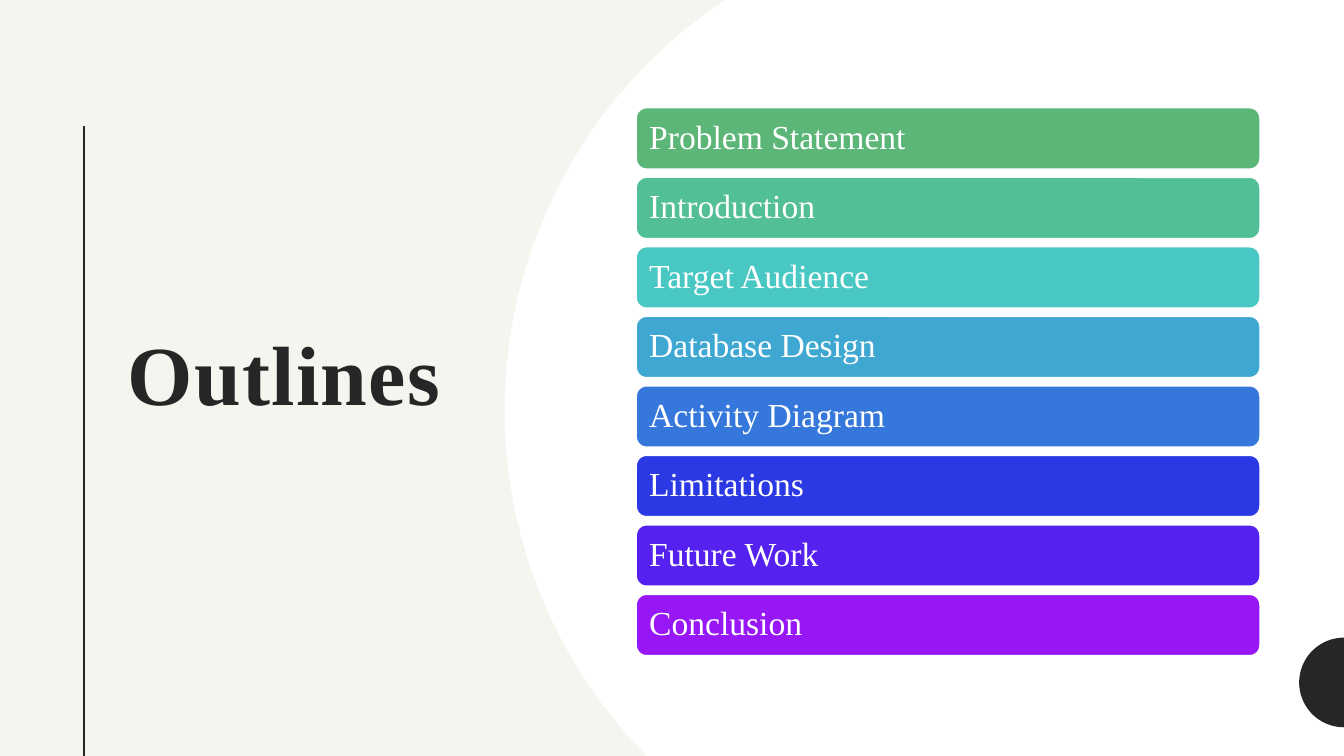
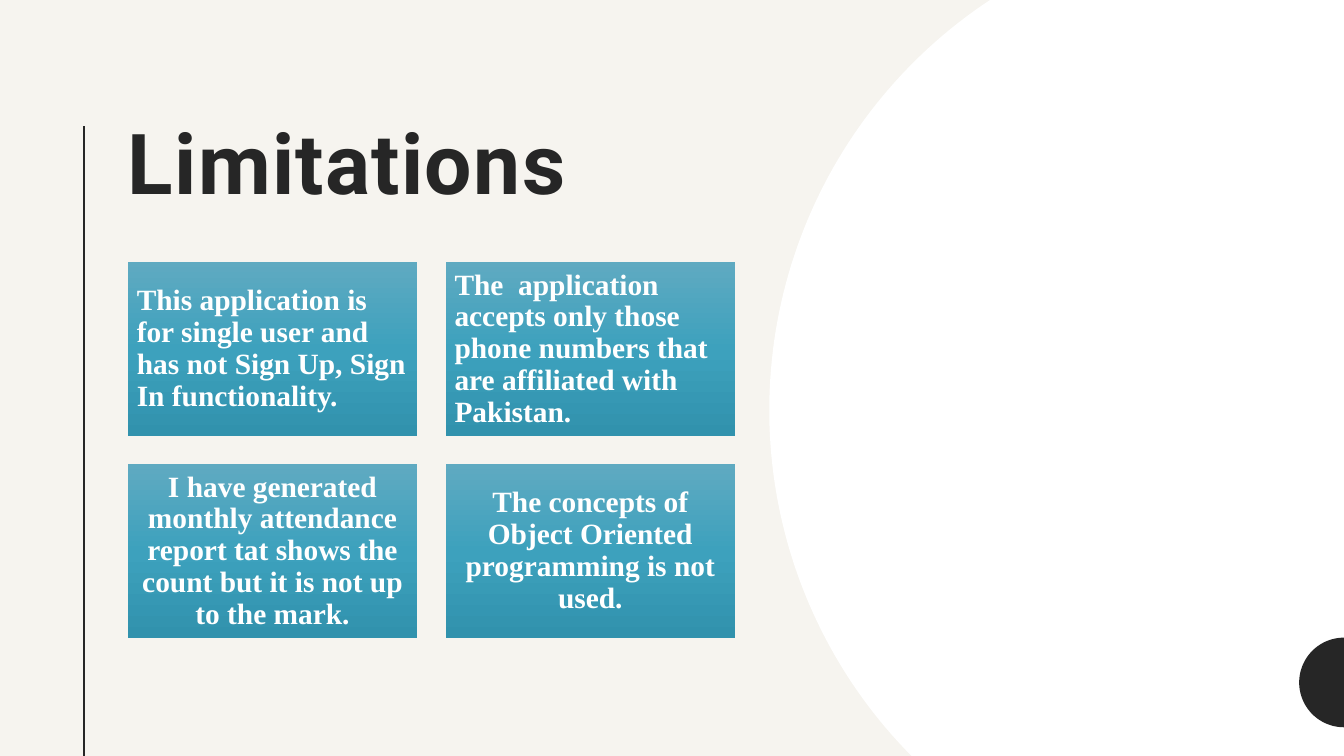
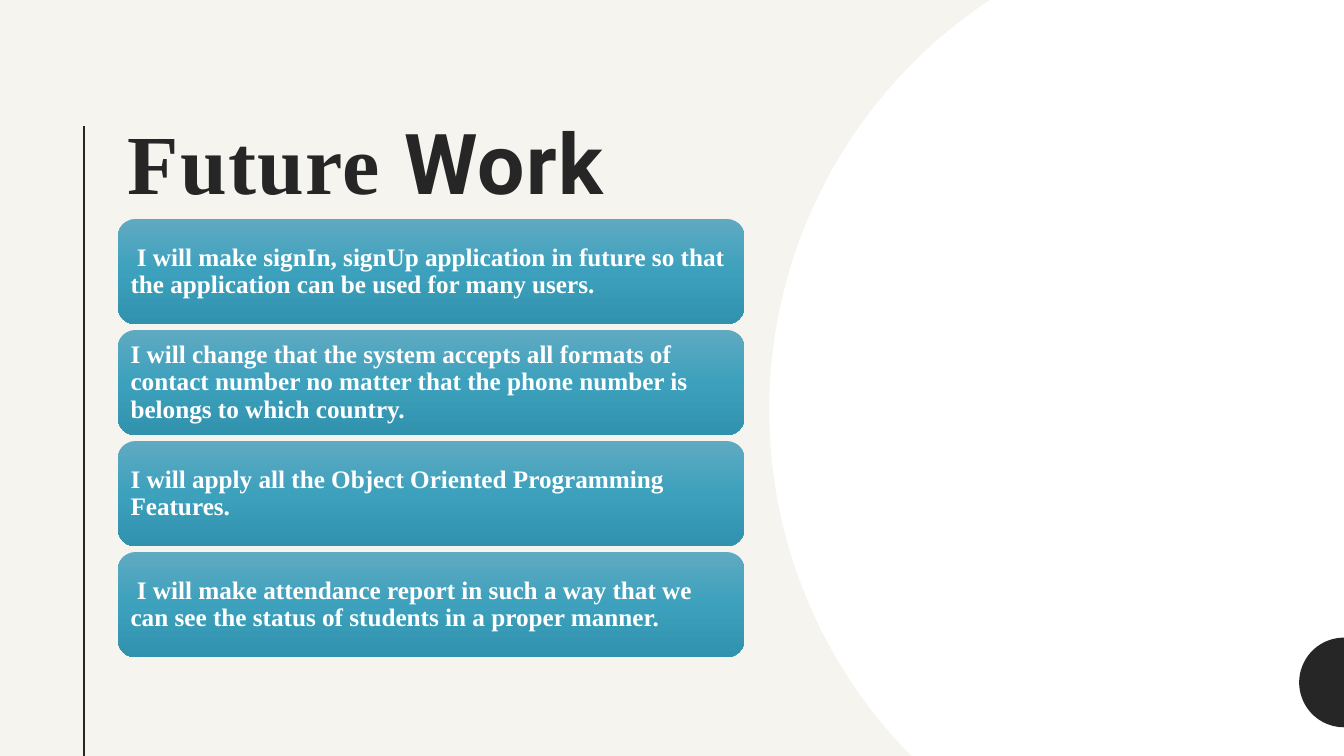
"""Build three project slides: outline, limitations and future work."""
from copy import deepcopy
from math import asin, cos, sin

from pptx import Presentation
from pptx.dml.color import RGBColor
from pptx.enum.shapes import MSO_CONNECTOR, MSO_SHAPE
from pptx.enum.text import MSO_ANCHOR, MSO_AUTO_SIZE, PP_ALIGN
from pptx.oxml.ns import qn
from pptx.oxml.xmlchemy import OxmlElement
from pptx.util import Pt

SLIDE_WIDTH, SLIDE_HEIGHT = 960, 540
CREAM = RGBColor(0xF6, 0xF4, 0xEF)
INK = RGBColor(0x26, 0x26, 0x26)
WHITE = RGBColor(0xFF, 0xFF, 0xFF)
TEAL_STOPS = (
    (0, RGBColor(0x5F, 0xAA, 0xC1)),
    (0.5, RGBColor(0x3D, 0xA1, 0xBD)),
    (1, RGBColor(0x31, 0x92, 0xAD)),
)
SERIF, SANS = "Times New Roman", "Roboto"
TOP_TITLE = (84, 83.5, 418.5, 121)
WIDE_PANEL_LEFT, NARROW_PANEL_LEFT = 360.5, 549.5

OUTLINE = (
    ("Problem Statement", RGBColor(0x5C, 0xB6, 0x78)),
    ("Introduction", RGBColor(0x52, 0xBF, 0x97)),
    ("Target Audience", RGBColor(0x49, 0xC8, 0xC3)),
    ("Database Design", RGBColor(0x3F, 0xA8, 0xD2)),
    ("Activity Diagram", RGBColor(0x35, 0x77, 0xDB)),
    ("Limitations", RGBColor(0x2B, 0x39, 0xE4)),
    ("Future Work", RGBColor(0x54, 0x21, 0xEE)),
    ("Conclusion", RGBColor(0x97, 0x17, 0xF7)),
)
LIMITATIONS = (
    "This application is for single user and has not Sign Up, Sign In functionality.",
    "The  application accepts only those phone numbers that are affiliated with Pakistan.",
    "I have generated monthly attendance report tat shows the count but it is not up to the mark.",
    "The concepts of Object Oriented programming is not used.",
)
FUTURE_WORK = (
    " I will make signIn, signUp application in future so that the application can be used for many users.",
    "I will change that the system accepts all formats of contact number no matter that the phone number"
    " is belongs to which country.",
    "I will apply all the Object Oriented Programming Features.",
    " I will make attendance report in such a way that we can see the status of students in a proper manner.",
)


def style_run(run, size, color, bold, name=SERIF):
    """Set the font of a run."""
    font = run.font
    font.name, font.size, font.bold = name, Pt(size), bold
    font.color.rgb = color


def add_disc(slide, left, center_y, radius, color):
    """Draw a disc cut off by the slide and filled out to its right edge."""
    start = asin(max(-1, -center_y / radius))
    end = asin(min(1, (SLIDE_HEIGHT - center_y) / radius))
    angles = [start + (end - start) * step / 90 for step in range(91)]
    arc = [
        (Pt(left + radius - radius * cos(angle)), Pt(center_y + radius * sin(angle)))
        for angle in angles
    ]
    right = Pt(SLIDE_WIDTH)
    builder = slide.shapes.build_freeform(right, arc[0][1])
    builder.add_line_segments(arc + [(right, arc[-1][1])], close=True)
    shape = builder.convert_to_shape()
    shape.shadow.inherit = False
    shape.fill.solid()
    shape.fill.fore_color.rgb = color
    shape.line.fill.background()


def add_rule(slide):
    """Draw the vertical line beside the title."""
    rule = slide.shapes.add_connector(
        MSO_CONNECTOR.STRAIGHT, Pt(60), Pt(90), Pt(60), Pt(SLIDE_HEIGHT)
    )
    rule.line.color.rgb = INK
    rule.line.width = Pt(1.5)
    rule._element.spPr.append(OxmlElement("a:effectLst"))


def set_title(slide, box, pieces):
    """Place the title and write its (text, font) pieces."""
    title = slide.shapes.title
    title.left, title.top, title.width, title.height = map(Pt, box)
    frame = title.text_frame
    frame.auto_size = MSO_AUTO_SIZE.NONE
    frame.vertical_anchor = MSO_ANCHOR.TOP
    paragraph = frame.paragraphs[0]
    paragraph.alignment = PP_ALIGN.LEFT
    paragraph.line_spacing = 0.9
    for text, name in pieces:
        run = paragraph.add_run()
        run.text = text
        style_run(run, 60, INK, True, name)
        run._r.get_or_add_rPr().set("spc", "100")


def add_themed_slide(presentation, title_box, title_pieces, panel_left):
    """Add a slide with title, rule, white panel and dark corner disc."""
    slide = presentation.slides.add_slide(presentation.slide_layouts[5])
    set_title(slide, title_box, title_pieces)
    add_rule(slide)
    add_disc(slide, panel_left, 293, 351, WHITE)
    add_disc(slide, 928, 487.5, 32, INK)
    return slide


def add_box(slide, preset, box, text, size, inset, bold=True, align=PP_ALIGN.LEFT):
    """Add a borderless shape with white text."""
    shape = slide.shapes.add_shape(preset, *map(Pt, box))
    shape.shadow.inherit = False
    shape.line.fill.background()
    frame = shape.text_frame
    frame.word_wrap = True
    frame.vertical_anchor = MSO_ANCHOR.MIDDLE
    frame.margin_left = frame.margin_right = Pt(inset)
    frame.margin_top = frame.margin_bottom = Pt(inset)
    frame.text = text
    paragraph = frame.paragraphs[0]
    paragraph.alignment = align
    paragraph.line_spacing = 0.9
    style_run(paragraph.runs[0], size, WHITE, bold)
    return shape


def fill_teal(shape):
    """Fill a shape with the three-stop teal gradient, top to bottom."""
    shape.fill.gradient()
    shape.fill.gradient_angle = 270
    stop_list = shape._element.spPr.find(qn("a:gradFill")).find(qn("a:gsLst"))
    stop_list.append(deepcopy(stop_list[0]))
    for stop, (position, color) in zip(shape.fill.gradient_stops, TEAL_STOPS):
        stop.position = position
        stop.color.rgb = color


def build_outline(presentation):
    """Build the list of topics."""
    slide = add_themed_slide(
        presentation, (84, 234.5, 245.5, 245.5), [("Outlines", SERIF)], WIDE_PANEL_LEFT
    )
    for index, (topic, color) in enumerate(OUTLINE):
        box = (454.5, 77 + index * 49.65, 445.5, 43.8)
        bar = add_box(slide, MSO_SHAPE.ROUNDED_RECTANGLE, box, topic, 24, 7.2, bold=False)
        bar.fill.solid()
        bar.fill.fore_color.rgb = color
        bar.line.color.rgb = WHITE
        bar.line.width = Pt(1)


def build_limitations(presentation):
    """Build the two-by-two grid of limitations."""
    slide = add_themed_slide(
        presentation, TOP_TITLE, [("Limitations", SANS)], NARROW_PANEL_LEFT
    )
    for index, text in enumerate(LIMITATIONS):
        row, column = divmod(index, 2)
        box = (91.4 + column * 227, 187.3 + row * 144.3, 206.5, 124)
        align = PP_ALIGN.CENTER if row else PP_ALIGN.LEFT
        fill_teal(add_box(slide, MSO_SHAPE.RECTANGLE, box, text, 21, 6.3, align=align))


def build_future_work(presentation):
    """Build the stack of planned improvements."""
    slide = add_themed_slide(
        presentation, TOP_TITLE, [("Future", SERIF), (" Work", SANS)], NARROW_PANEL_LEFT
    )
    for index, text in enumerate(FUTURE_WORK):
        box = (84.2, 156.4 + index * 79.3, 447.6, 75.2)
        fill_teal(add_box(slide, MSO_SHAPE.ROUNDED_RECTANGLE, box, text, 18, 5.4))


def main():
    """Build and save the presentation."""
    presentation = Presentation()
    presentation.slide_width = Pt(SLIDE_WIDTH)
    presentation.slide_height = Pt(SLIDE_HEIGHT)
    background = presentation.slide_master.background.fill
    background.solid()
    background.fore_color.rgb = CREAM
    build_outline(presentation)
    build_limitations(presentation)
    build_future_work(presentation)
    presentation.save("out.pptx")


if __name__ == "__main__":
    main()
